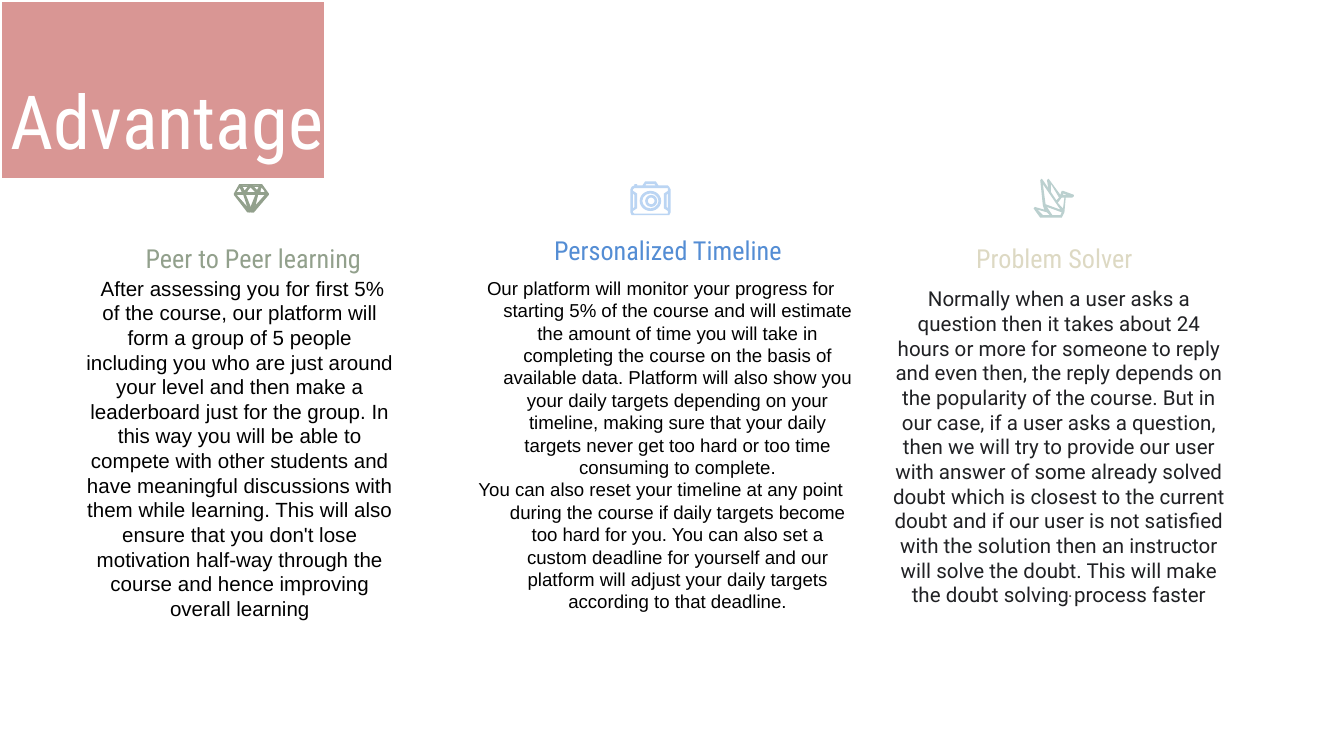
from pptx import Presentation
from pptx import util as u
from pptx.dml.color import RGBColor
from pptx.enum import shapes, text
from pptx.oxml.ns import qn

CELL = u.Inches(0.1)  # the slide is a grid of 100 columns by 56.25 rows
SAGE, SKY, TEAL = "92A08C", "BBD5F3", "BBD0CF"

# Each column: heading, heading colour, heading area, paragraphs, body area,
# font, size, colour, left margin and first-line indent (in cells)
COLUMNS = [
    ("Peer to Peer learning", SAGE, (4.1, 17.5, 29.5, 2.9),
     ["After assessing you for first 5% of the course, our platform will form a group of 5 people "
      "including you who are just around your level and then make a leaderboard just for the group. "
      "In this way you will be able to compete with other students and have meaningful discussions "
      "with them while learning. This will also ensure that you don't lose motivation half-way "
      "through the course and hence improving overall learning"],
     (6.3, 20.5, 23.1, 28.3), "Arial", 11, "000000", 0, 0.42),
    ("Personalized Timeline", "548DD4", (40.4, 17.15, 18.6, 2.6),
     ["Our platform will monitor your progress for starting 5% of the course and will estimate the "
      "amount of time you will take in completing the course on the basis of available data. "
      "Platform will also show you your daily targets depending on your timeline, making sure that "
      "your daily targets never get too hard or too time consuming to complete.",
      "You can also reset your timeline at any point during the course if daily targets become too "
      "hard for you. You can also set a custom deadline for yourself and our platform will adjust "
      "your daily targets according to that deadline."],
     (32.3, 20.6, 31.2, 28.3), "Arial", 10, "000000", 5, -2.5),
    ("Problem Solver", "DDD9C3", (68, 18.2, 20.9, 2.2),
     ["Normally when a user asks a question then it takes about 24 hours or more for someone to "
      "reply and even then, the reply depends on the popularity of the course. But in our case, if "
      "a user asks a question, then we will try to provide our user with answer of some already "
      "solved doubt which is closest to the current doubt and if our user is not satisfied with the "
      "solution then an instructor will solve the doubt. This will make the doubt solving process "
      "faster"],
     (66.4, 21.3, 24.8, 23.8), "Roboto", 11, "202124", 0, 0),
]

# Icon outlines in tenths of a cell; inner contours are holes
DIAMOND = [
    [(179, 137), (175, 144), (175, 145), (187, 158), (189, 158), (200, 145), (200, 144), (195, 137)],
    [(185, 138), (182, 142), (180, 138)], [(193, 138), (191, 142), (188, 138)],
    [(179, 139), (180, 143), (176, 143)], [(187, 139), (190, 143), (183, 143)],
    [(195, 139), (197, 143), (193, 143)], [(181, 145), (184, 154), (176, 145)],
    [(197, 145), (189, 154), (192, 145)], [(191, 145), (187, 155), (183, 145)],
]
MIRRORED_DIAMOND = [[(373.5 - x, y) for x, y in contour] for contour in DIAMOND]
DIAMOND_TIP = [[(185, 158), (189, 158), (187, 156)]]
DIAMOND_TOP = [[(179, 139), (195, 139), (194, 138), (180, 138)]]
CAMERA = [
    [(481, 135), (480, 135), (478, 138), (474, 138), (474, 137), (472, 137), (472, 138), (470, 139),
     (469, 141), (469, 158), (470, 160), (472, 160), (497, 160), (498, 160), (499, 158), (499, 141),
     (498, 139), (497, 138), (490, 138), (488, 135)],
    [(487, 137), (488, 138), (480, 138), (481, 137)],
    [(471, 144), (472, 145), (472, 154), (471, 155)],
    [(497, 144), (497, 155), (496, 154), (496, 145)],
    [(497, 140), (497, 142), (494, 144), (494, 155), (497, 157), (497, 159), (472, 159), (471, 158),
     (471, 157), (474, 155), (474, 144), (471, 142), (471, 141), (472, 140)],
]
BIRD = [
    [(775, 133), (774, 134), (776, 153), (777, 156), (770, 154), (769, 155), (774, 162), (789, 162),
     (790, 162), (792, 158), (793, 147), (798, 147), (799, 146), (799, 145), (791, 142), (790, 142),
     (789, 145), (781, 134), (780, 133), (779, 134), (780, 140), (776, 134)],
    [(791, 144), (794, 145), (791, 145)], [(782, 137), (788, 147), (786, 149), (782, 143)],
    [(792, 147), (791, 155), (787, 151), (790, 147)], [(776, 137), (789, 156), (778, 152)],
    [(772, 156), (779, 158), (781, 160), (776, 160)],
    [(779, 154), (790, 158), (789, 160), (783, 160)],
]


def color(value):
    return RGBColor.from_string(value)


def place(shape, area):
    shape.left, shape.top, shape.width, shape.height = (round(n * CELL) for n in area)


def paint(shape, fill):
    shape.shadow.inherit = False
    shape.fill.solid()
    shape.fill.fore_color.rgb = color(fill)
    shape.line.fill.background()
    return shape


def write(shape, area, paragraphs, font, size, ink, align=text.PP_ALIGN.CENTER,
          anchor=text.MSO_ANCHOR.TOP, margin=0, indent=0, spacing=None):
    """Place the shape and fill it with plain, unbulleted paragraphs."""
    place(shape, area)
    frame = shape.text_frame
    frame.text = "\n".join(paragraphs)
    frame.word_wrap = True
    frame.auto_size = text.MSO_AUTO_SIZE.NONE
    frame.vertical_anchor = anchor
    frame.margin_left = frame.margin_top = frame.margin_right = frame.margin_bottom = 0
    for paragraph in frame.paragraphs:
        properties = paragraph._p.get_or_add_pPr()
        properties.set("marL", str(round(margin * CELL)))
        properties.set("indent", str(round(indent * CELL)))
        properties.append(properties.makeelement(qn("a:buNone"), {}))
        paragraph.alignment = align
        paragraph.space_before = u.Pt(0)
        paragraph.line_spacing = spacing
        paragraph.font.name = font
        paragraph.font.size = u.Pt(size)
        paragraph.font.bold = False
        paragraph.font.color.rgb = color(ink)


def add_outline(slide, contours, fill):
    first, *holes = contours
    builder = slide.shapes.build_freeform(*first[0], scale=CELL / 10)
    builder.add_line_segments(first[1:], close=True)
    for hole in holes:
        builder.move_to(*hole[0])
        builder.add_line_segments(hole[1:], close=True)
    return paint(builder.convert_to_shape(), fill)


def add_ring(slide, area, thickness, fill):
    ring = slide.shapes.add_shape(shapes.MSO_SHAPE.DONUT, 0, 0, 0, 0)
    place(ring, area)
    ring.adjustments[0] = thickness
    return paint(ring, fill)


def add_icons(slide):
    camera = [add_ring(slide, (47.6, 14.2, 1.6, 1.5), 0.13, SKY),
              add_ring(slide, (48, 14.5, 0.9, 0.9), 0.22, SKY),
              add_outline(slide, CAMERA, SKY)]
    bird = [add_outline(slide, BIRD, TEAL)]
    diamond = [add_outline(slide, part, SAGE)
               for part in (DIAMOND, MIRRORED_DIAMOND, DIAMOND_TIP, DIAMOND_TOP)]
    for parts in (camera, bird, diamond):
        slide.shapes.add_group_shape(shapes=parts)


def add_title(slide):
    panel = slide.shapes.add_shape(shapes.MSO_SHAPE.RECTANGLE, 0, 0, 0, 0)
    place(panel, (0, 0, 24.3, 13.4))
    paint(panel, "D99694")
    panel.line.color.rgb = color("FFFFFF")
    panel.line.width = u.Pt(2.25)
    slide.shapes._spTree.insert(2, panel._element)  # behind the title
    write(slide.shapes.title, (0.8, 5.6, 32.4, 6.4), ["Advantages"], "Roboto Condensed", 40,
          "FFFFFF", align=text.PP_ALIGN.LEFT)


def add_column(slide, placeholder, column):
    heading, heading_ink, heading_area, paragraphs, area, font, size, ink, margin, indent = column
    write(slide.shapes.add_textbox(0, 0, 0, 0), heading_area, [heading], "Roboto Condensed", 14,
          heading_ink, anchor=text.MSO_ANCHOR.BOTTOM)
    write(placeholder, area, paragraphs, font, size, ink, margin=margin, indent=indent,
          spacing=u.Pt(1.2 * size))


def main():
    presentation = Presentation()
    presentation.slide_width = 100 * CELL
    presentation.slide_height = presentation.slide_width * 9 // 16
    slide = presentation.slides.add_slide(presentation.slide_layouts.get_by_name("Comparison"))
    add_title(slide)
    add_icons(slide)
    for index, column in enumerate(COLUMNS, start=1):
        add_column(slide, slide.placeholders[index], column)
    spare = slide.placeholders[4]._element
    spare.getparent().remove(spare)
    write(slide.shapes.add_textbox(0, 0, 0, 0), (68.1, 43.1, 23.1, 8.1), ["."], "Roboto Slab", 10,
          "525252")
    presentation.save("out.pptx")


if __name__ == "__main__":
    main()
